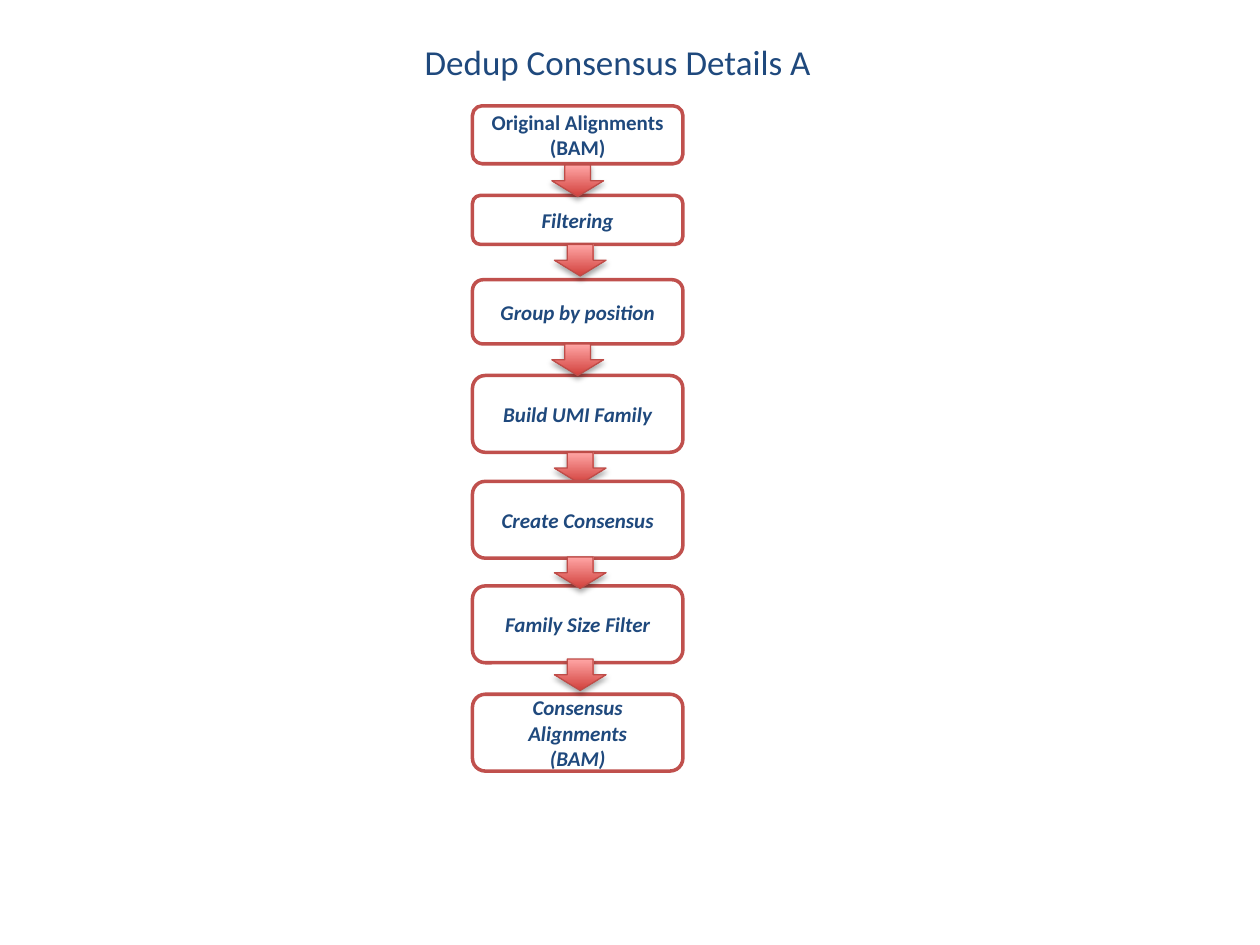
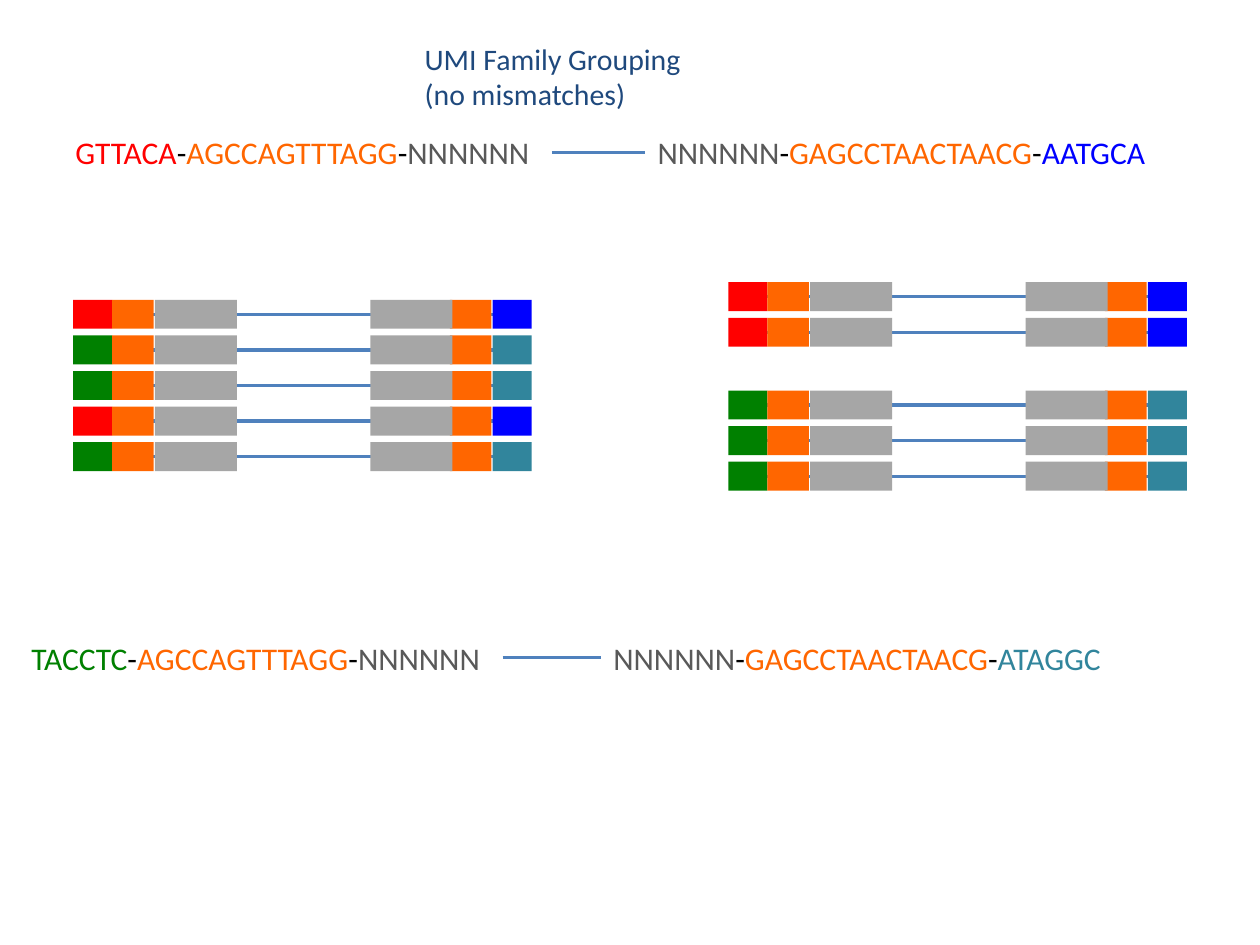
import lxml.etree
import pptx
import pptx.dml.color
import pptx.enum.shapes
import pptx.enum.text
import pptx.oxml
import pptx.oxml.ns
import pptx.util

Inches = pptx.util.Inches
Pt = pptx.util.Pt
RGBColor = pptx.dml.color.RGBColor
SHAPE = pptx.enum.shapes.MSO_SHAPE
ALIGN = pptx.enum.text.PP_ALIGN
ANCHOR = pptx.enum.text.MSO_ANCHOR
AUTO_SIZE = pptx.enum.text.MSO_AUTO_SIZE
qn = pptx.oxml.ns.qn

# Shared look
FONT = "Calibri"
NAVY = RGBColor(0x1F, 0x49, 0x7D)
WHITE = RGBColor(0xFF, 0xFF, 0xFF)
BLACK = RGBColor(0x00, 0x00, 0x00)
STEP_LINE = RGBColor(0xC0, 0x50, 0x4D)
ARROW_LINE = RGBColor(0xBF, 0x4C, 0x48)
ARROW_DARK = RGBColor(0xD1, 0x40, 0x3C)
ARROW_LIGHT = RGBColor(0xFF, 0xA6, 0xA5)
STRAND = RGBColor(0x4F, 0x81, 0xBD)
RED = RGBColor(0xFF, 0x00, 0x00)
BLUE = RGBColor(0x00, 0x00, 0xFF)
GREEN = RGBColor(0x00, 0x80, 0x00)
TEAL = RGBColor(0x31, 0x85, 0x9C)
ORANGE = RGBColor(0xFF, 0x66, 0x00)
GREY = RGBColor(0xA6, 0xA6, 0xA6)
DARK_GREY = RGBColor(0x59, 0x59, 0x59)

# Flow chart: text, top, height, italic
FIRST_STEPS = [
    ("Original Alignments\n(BAM)", 0.84, 0.46, False),
    ("Filtering", 1.55, 0.39, True),
    ("Group by position", 2.22, 0.51, True),
    ("Build UMI Family", 2.98, 0.61, True),
]
LAST_STEPS = [
    ("Create Consensus", 3.82, 0.61, True),
    ("Family Size Filter", 4.65, 0.61, True),
    ("Consensus Alignments\n(BAM)", 5.51, 0.61, True),
]
FIRST_ARROWS = [(4.38, 1.31), (4.4, 1.94), (4.38, 2.73), (4.4, 3.59)]
LAST_ARROWS = [(4.4, 4.42), (4.4, 5.23)]

# UMI families: colours of the left and right tags
RED_BLUE = (RED, BLUE)
GREEN_TEAL = (GREEN, TEAL)
READ_PITCH = 1.13 / 4
READ_HEIGHT = 0.23
READ_STACKS = [  # left, top, families from top to bottom
    (0.58, 2.38, [RED_BLUE, GREEN_TEAL, GREEN_TEAL, RED_BLUE, GREEN_TEAL]),
    (5.78, 2.24, [RED_BLUE] * 2),
    (5.78, 3.1, [GREEN_TEAL] * 3),
]
SEQUENCE_PAIRS = [  # top, left and width of each end, family, tags
    (1.01, (0.5, 3.88), (5.12, 4.18), RED_BLUE, ("GTTACA", "AATGCA")),
    (5.02, (0.15, 3.84), (4.77, 4.2), GREEN_TEAL, ("TACCTC", "ATAGGC")),
]


def format_span(span, size, color, bold=None, italic=None):
    font = span.font
    font.name, font.size = FONT, Pt(size)
    font.bold, font.italic = bold, italic
    font.color.rgb = color


def add_titled_page(deck, title, size):
    page = deck.slides.add_slide(deck.slide_layouts[5])
    box = page.shapes.title
    box.left, box.top = Inches(3.27), Inches(0.27)
    box.width, box.height = Inches(3.28), Inches(0.58)
    frame = box.text_frame
    frame.text = title
    frame.auto_size = AUTO_SIZE.NONE
    frame.vertical_anchor = ANCHOR.TOP
    para = frame.paragraphs[0]
    para.alignment = ALIGN.LEFT
    for span in para.runs:
        format_span(span, size, NAVY)
    return page


def add_block(shapes, kind, left, top, width, height, fill):
    block = shapes.add_shape(
        kind, Inches(left), Inches(top), Inches(width), Inches(height))
    block.shadow.inherit = False
    block.fill.solid()
    block.fill.fore_color.rgb = fill
    block.line.fill.background()
    return block


def add_step(page, text, top, height, italic):
    box = add_block(page.shapes, SHAPE.ROUNDED_RECTANGLE,
                    3.75, top, 1.67, height, WHITE)
    box.line.color.rgb = STEP_LINE
    box.line.width = Pt(2)
    frame = box.text_frame
    frame.text = text
    frame.word_wrap = True
    frame.vertical_anchor = ANCHOR.MIDDLE
    for para in frame.paragraphs:
        para.alignment = ALIGN.CENTER
        format_span(para.runs[0], 12, NAVY, True, italic)


def add_flow_arrow(page, left, top):
    arrow = add_block(page.shapes, SHAPE.DOWN_ARROW,
                      left, top, 0.41, 0.25, ARROW_DARK)
    arrow.fill.gradient()
    arrow.fill.gradient_angle = 90
    for stop, color in zip(arrow.fill.gradient_stops, (ARROW_DARK, ARROW_LIGHT)):
        stop.color.rgb = color
    arrow.line.color.rgb = ARROW_LINE
    arrow.line.width = Pt(0.75)
    # Soft shadow below the arrow
    effects = arrow._element.spPr.find(qn("a:effectLst"))
    shadow = lxml.etree.SubElement(
        effects, qn("a:outerShdw"), blurRad=str(Pt(3.1)), dist=str(Pt(1.8)),
        dir="5400000", rotWithShape="0")
    color = lxml.etree.SubElement(shadow, qn("a:srgbClr"), val="000000")
    lxml.etree.SubElement(color, qn("a:alpha"), val="35000")


def add_strand(shapes, start, end, y, capped=False):
    strand = shapes.add_connector(
        pptx.enum.shapes.MSO_CONNECTOR.STRAIGHT,
        Inches(start), Inches(y), Inches(end), Inches(y))
    strand.line.color.rgb = STRAND
    strand.line.width = Pt(2)
    properties = strand._element.spPr
    lxml.etree.SubElement(properties, qn("a:effectLst"))
    if capped:
        outline = properties.find(qn("a:ln"))
        lxml.etree.SubElement(outline, qn("a:headEnd"), type="diamond")
        lxml.etree.SubElement(outline, qn("a:tailEnd"), type="oval")


def add_read(page, left, top, family):
    shapes = page.shapes.add_group_shape().shapes
    add_strand(shapes, left + 0.12, left + 3.52, top + READ_HEIGHT / 2, True)
    left_tag, right_tag = family
    segments = [
        (0, 0.31, left_tag), (0.31, 0.33, ORANGE), (0.65, 0.65, GREY),
        (3.33, 0.31, right_tag), (2.99, 0.33, ORANGE), (2.36, 0.65, GREY),
    ]
    for offset, width, color in segments:
        add_block(shapes, SHAPE.RECTANGLE, left + offset, top,
                  width, READ_HEIGHT, color)


def add_sequence(page, left, top, width, parts):
    box = add_block(page.shapes, SHAPE.RECTANGLE, left, top, width, 0.4, WHITE)
    frame = box.text_frame
    frame.word_wrap = False
    frame.auto_size = AUTO_SIZE.SHAPE_TO_FIT_TEXT
    frame.vertical_anchor = ANCHOR.TOP
    para = frame.paragraphs[0]
    para.alignment = ALIGN.LEFT
    hyphen = ("-", BLACK)
    first, middle, last = parts
    for text, color in (first, hyphen, middle, hyphen, last):
        span = para.add_run()
        span.text = text
        format_span(span, 18, color)


def add_sequence_pair(page, top, left_end, right_end, family, tags):
    (left, left_width), (right, right_width) = left_end, right_end
    insert = ("NNNNNN", DARK_GREY)
    add_sequence(page, left, top, left_width,
                 [(tags[0], family[0]), ("AGCCAGTTTAGG", ORANGE), insert])
    add_sequence(page, right, top, right_width,
                 [insert, ("GAGCCTAACTAACG", ORANGE), (tags[1], family[1])])
    add_strand(page.shapes, left + left_width, right, top + 0.2)


def build_flow_page(deck):
    page = add_titled_page(deck, "Dedup Consensus Details A", 20)
    for steps, arrows in ((FIRST_STEPS, FIRST_ARROWS), (LAST_STEPS, LAST_ARROWS)):
        for step in steps:
            add_step(page, *step)
        for arrow in arrows:
            add_flow_arrow(page, *arrow)


def build_family_page(deck):
    page = add_titled_page(deck, "UMI Family Grouping \v(no mismatches)", 17)
    for pair in SEQUENCE_PAIRS:
        add_sequence_pair(page, *pair)
    for left, top, families in READ_STACKS:
        for row, family in enumerate(families):
            add_read(page, left, top + row * READ_PITCH, family)


def main():
    deck = pptx.Presentation()
    deck.slide_width, deck.slide_height = Inches(10), Inches(7.5)
    build_flow_page(deck)
    build_family_page(deck)
    deck.save("out.pptx")


if __name__ == "__main__":
    main()
